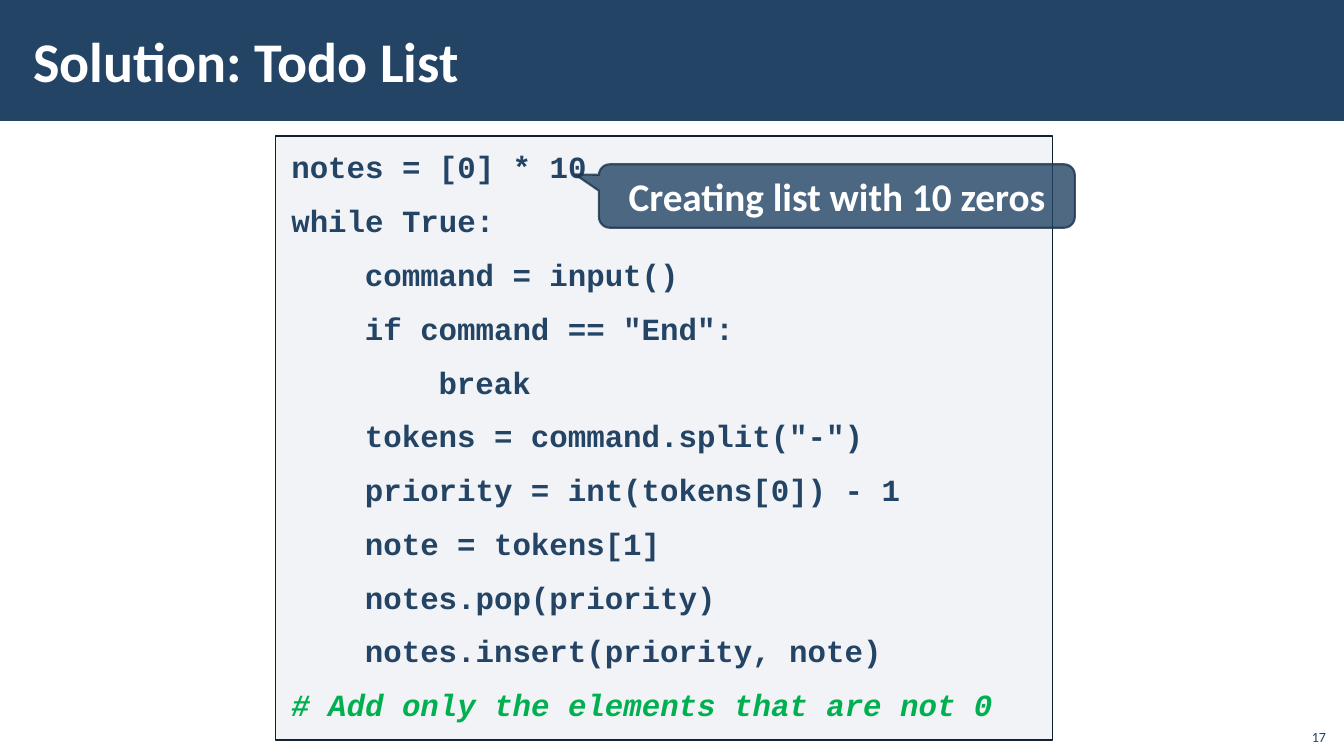
from pptx import Presentation
from pptx.dml.color import RGBColor
from pptx.enum.shapes import MSO_SHAPE
from pptx.enum.text import MSO_ANCHOR, PP_ALIGN
from pptx.oxml.ns import qn
from pptx.util import Inches, Pt
from lxml.etree import SubElement

COLORS = {"navy": "234465", "white": "FFFFFF", "pale": "ADB4C3",
          "edge": "112233", "rim": "1A334C", "green": "00B050"}
STEP = 0.73
CODE = [
    (0, "notes = [0] * 10"),
    (0, "while True:"),
    (1, "command = input()"),
    (1, 'if command == "End":'),
    (2, "break"),
    (1, 'tokens = command.split("-")'),
    (1, "priority = int(tokens[0]) - 1"),
    (1, "note = tokens[1]"),
    (1, "notes.pop(priority)"),
    (1, "notes.insert(priority, note)"),
    (0, "# Add only the elements that are not 0"),
]


class Deck:
    def __init__(self, slide):
        self.slide = slide
        self.font = "Calibri"
        self.mono = "Courier New"

    def color(self, name):
        return RGBColor.from_string(COLORS[name])

    def paint(self, fill, name, alpha=100):
        fill.solid()
        fill.fore_color.rgb = self.color(name)
        if alpha < 100:
            tint = fill._xPr.find(qn("a:solidFill"))[0]
            SubElement(tint, qn("a:alpha"), val=str(alpha * 1000))

    def shape(self, kind, box, fill, alpha=100, line=None, width=1, clear=100):
        item = self.slide.shapes.add_shape(kind, *map(Inches, box))
        item.shadow.inherit = False
        self.paint(item.fill, fill, alpha)
        if line:
            item.line.width = Pt(width)
            self.paint(item.line.fill, line, clear)
        else:
            item.line.fill.background()
        return item

    def frame(self, item, anchor, pads=(0.1, 0.05)):
        frame = item.text_frame
        frame.word_wrap = True
        frame.vertical_anchor = anchor
        frame.margin_left = frame.margin_right = Inches(pads[0])
        frame.margin_top = frame.margin_bottom = Inches(pads[1])
        return frame

    def style(self, para, text, size, color, align=PP_ALIGN.LEFT, bold=True, font=None):
        para.text = text
        para.alignment = align
        para.font.name = font or self.font
        para.font.size = Pt(size)
        para.font.bold = bold
        para.font.color.rgb = self.color(color)

    def label(self, box, text, size, color, anchor, pads=(0.1, 0.05), **look):
        item = self.slide.shapes.add_textbox(*map(Inches, box))
        frame = self.frame(item, anchor, pads)
        self.style(frame.paragraphs[0], text, size, color, **look)

    def code(self, box, lines):
        item = self.shape(MSO_SHAPE.RECTANGLE, box, "pale", 15, "edge")
        frame = self.frame(item, MSO_ANCHOR.TOP, (0.16, 0.12))
        for row, (level, text) in enumerate(lines):
            para = frame.add_paragraph() if row else frame.paragraphs[0]
            note = text.startswith("#")
            self.style(para, text, 22, "green" if note else "navy", font=self.mono)
            para.font.italic = note
            para.space_before = para.space_after = Pt(6)
            para._p.get_or_add_pPr().set("marL", str(Inches(level * STEP)))

    def callout(self, box, text, tip):
        item = self.shape(MSO_SHAPE.ROUNDED_RECTANGULAR_CALLOUT, box,
                          "navy", 80, "rim", 1.5, 80)
        for spot, value in enumerate(tip):
            item.adjustments[spot] = value
        frame = self.frame(item, MSO_ANCHOR.MIDDLE)
        self.style(frame.paragraphs[0], text, 28, "white", PP_ALIGN.CENTER)


show = Presentation()
show.slide_width, show.slide_height = Inches(13.33), Inches(7.5)
deck = Deck(show.slides.add_slide(show.slide_layouts[6]))

deck.shape(MSO_SHAPE.RECTANGLE, (0, 0, 13.33, 1.2), "navy")
deck.code((2.73, 1.35, 7.71, 5.99), CODE)
deck.label((0.21, 0.11, 10.63, 0.97), "Solution: Todo List", 40, "white",
           MSO_ANCHOR.MIDDLE, (0.12, 0.04))
deck.callout((5.94, 1.63, 4.72, 0.63), "Creating list with 10 zeros",
             (-0.55, -0.34, 0.17))
deck.label((12.85, 7.12, 0.4, 0.32), "17", 10, "navy", MSO_ANCHOR.BOTTOM,
           align=PP_ALIGN.RIGHT, bold=False)

show.save("out.pptx")
